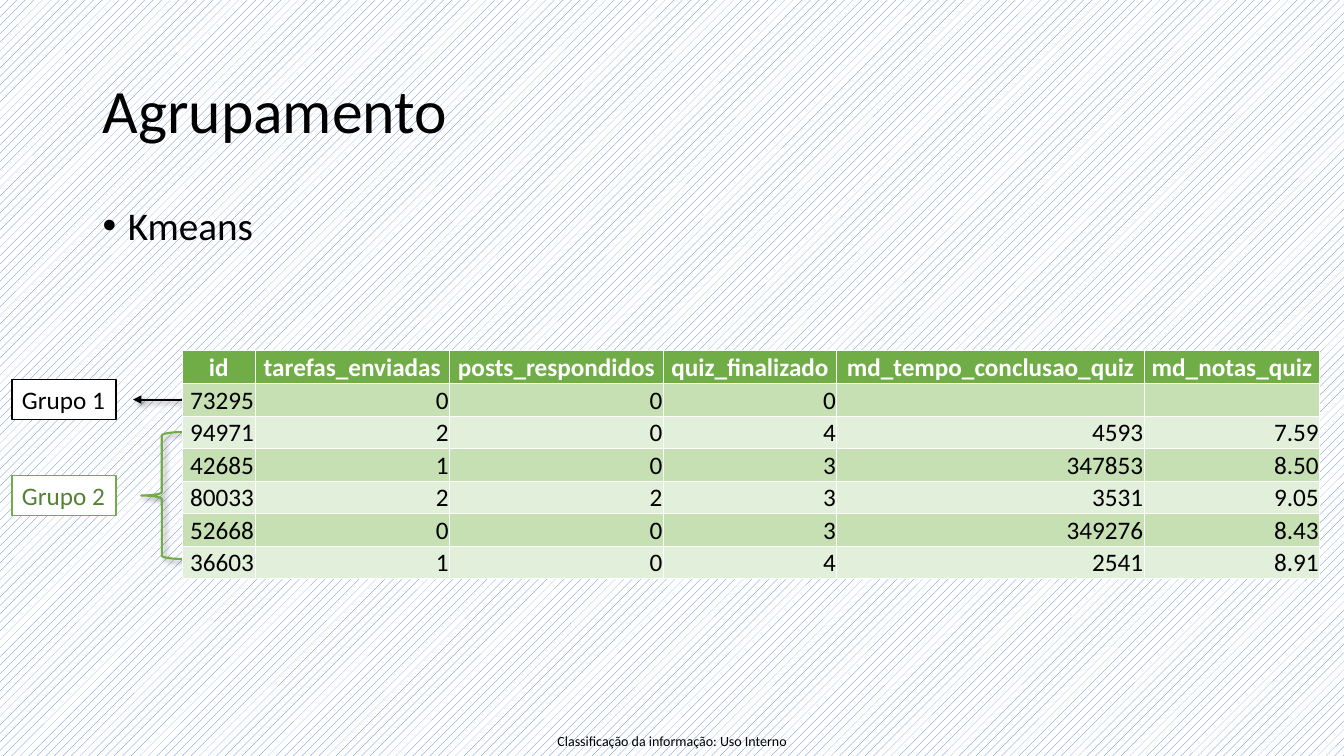
from dataclasses import dataclass
from lxml.etree import SubElement
from pptx import Presentation
from pptx.dml.color import RGBColor
from pptx.enum.dml import MSO_PATTERN
from pptx.enum.shapes import MSO_CONNECTOR, MSO_SHAPE
from pptx.enum.text import MSO_ANCHOR, PP_ALIGN
from pptx.oxml import parse_xml
from pptx.oxml.ns import nsdecls, qn
from pptx.util import Inches, Pt

TITLE = "Agrupamento"
METHOD = "Kmeans"
FOOTER = "Classificação da informação: Uso Interno"
GROUPS = ("Grupo 1", "Grupo 2")
HEADERS = ("id", "tarefas_enviadas", "posts_respondidos", "quiz_finalizado",
           "md_tempo_conclusao_quiz", "md_notas_quiz")
STUDENTS = [
    ("73295", "0", "0", "0", "", ""),
    ("94971", "2", "0", "4", "4593", "7.59"),
    ("42685", "1", "0", "3", "347853", "8.50"),
    ("80033", "2", "2", "3", "3531", "9.05"),
    ("52668", "0", "0", "3", "349276", "8.43"),
    ("36603", "1", "0", "4", "2541", "8.91"),
]


@dataclass(frozen=True)
class Theme:
    font: str = "Calibri"
    black: str = "000000"
    white: str = "FFFFFF"
    stripe: str = "4472C4"
    green: str = "70AD47"
    dark_green: str = "548235"
    bands: tuple = ("C6E0B4", "E2EFDA")
    title: int = 44
    body: int = 28
    table: int = 18
    footer: int = 10


THEME = Theme()
WIDTH, HEIGHT = 13.33, 7.5
MARGIN, CONTENT_WIDTH = 0.92, 11.5
COLUMNS = (0.72, 1.93, 2.12, 1.72, 3.05, 1.74)
TABLE_LEFT, TABLE_TOP = 1.81, 3.48
ROW = 2.26 / 7
LABEL_LEFT, LABEL_WIDTH, LABEL_HEIGHT = 0.12, 1.03, 0.4
BRACE_WIDTH, BRACE_ROWS = 0.41, 3.9
ARROW_LENGTH = 0.49


def row_middle(row):
    return TABLE_TOP + (row + 0.5) * ROW


def apply(target, values):
    for name, value in values.items():
        setattr(target, name, value)


def write(frame, text, size, color=THEME.black, bold=False, frame_format=None, para_format=None):
    """Put one formatted line in a text frame or table cell frame."""
    apply(frame, frame_format or {})
    para = frame.paragraphs[0]
    apply(para, para_format or {})
    span = para.add_run()
    span.text = text
    apply(span.font, {"name": THEME.font, "size": Pt(size), "bold": bold})
    span.font.color.rgb = RGBColor.from_string(color)
    return para


def add_text(page, place, text, size, frame_format, para_format):
    box = page.shapes.add_textbox(*map(Inches, place))
    return write(box.text_frame, text, size, frame_format={"word_wrap": True, **frame_format},
                 para_format=para_format)


def set_line(shape, color, width):
    shape.line.color.rgb = RGBColor.from_string(color)
    shape.line.width = Pt(width)


def add_shadow(shape):
    properties = shape._element.spPr
    for old in properties.findall(qn("a:effectLst")):
        properties.remove(old)
    properties.append(parse_xml(
        f'<a:effectLst {nsdecls("a")}><a:outerShdw blurRad="{Pt(4)}" dist="{Pt(3)}" dir="2700000" '
        f'algn="tl" rotWithShape="0"><a:srgbClr val="{THEME.black}"><a:alpha val="40000"/></a:srgbClr>'
        '</a:outerShdw></a:effectLst>'))


def add_bullet(para):
    properties = para._p.get_or_add_pPr()
    properties.set("marL", str(Inches(0.25)))
    properties.set("indent", str(-Inches(0.25)))
    SubElement(properties, qn("a:buFont"), typeface="Arial")
    SubElement(properties, qn("a:buChar"), char="•")


def add_label(page, text, middle, line_color, text_color):
    label = page.shapes.add_shape(MSO_SHAPE.RECTANGLE, *map(
        Inches, (LABEL_LEFT, middle - LABEL_HEIGHT / 2, LABEL_WIDTH, LABEL_HEIGHT)))
    label.shadow.inherit = False
    label.fill.solid()
    label.fill.fore_color.rgb = RGBColor.from_string(THEME.white)
    set_line(label, line_color, 1)
    write(label.text_frame, text, THEME.table, text_color,
          frame_format={"word_wrap": False, "vertical_anchor": MSO_ANCHOR.TOP},
          para_format={"alignment": PP_ALIGN.LEFT})


def add_brace(page, middle):
    height = BRACE_ROWS * ROW
    brace = page.shapes.add_shape(MSO_SHAPE.LEFT_BRACE, *map(
        Inches, (TABLE_LEFT - BRACE_WIDTH, middle - height / 2, BRACE_WIDTH, height)))
    brace.fill.background()
    set_line(brace, THEME.green, 1.5)
    add_shadow(brace)


def add_arrow(page, middle):
    arrow = page.shapes.add_connector(MSO_CONNECTOR.STRAIGHT, *map(
        Inches, (TABLE_LEFT, middle, TABLE_LEFT - ARROW_LENGTH, middle)))
    set_line(arrow, THEME.black, 1.5)
    SubElement(arrow.line._get_or_add_ln(), qn("a:tailEnd"), type="triangle")
    add_shadow(arrow)


def format_cell(cell, text, fill, color, bold, alignment):
    edge = Inches(0.01)
    apply(cell, {"margin_left": edge, "margin_right": edge, "margin_top": edge,
                 "margin_bottom": 0, "vertical_anchor": MSO_ANCHOR.BOTTOM})
    cell.fill.solid()
    cell.fill.fore_color.rgb = RGBColor.from_string(fill)
    for position, side in enumerate(("lnL", "lnR", "lnT", "lnB")):
        cell._tc.get_or_add_tcPr().insert(position, parse_xml(
            f'<a:{side} {nsdecls("a")} w="{Pt(0.5)}"><a:solidFill>'
            f'<a:srgbClr val="{THEME.white}"/></a:solidFill></a:{side}>'))
    if text:
        write(cell.text_frame, text, THEME.table, color, bold, para_format={"alignment": alignment})


def add_students(page):
    rows = [HEADERS, *STUDENTS]
    table = page.shapes.add_table(len(rows), len(COLUMNS), *map(
        Inches, (TABLE_LEFT, TABLE_TOP, sum(COLUMNS), ROW * len(rows)))).table
    for column, width in zip(table.columns, COLUMNS):
        column.width = Inches(width)
    for index, values in enumerate(rows):
        if index == 0:
            look = (THEME.green, THEME.white, True, PP_ALIGN.CENTER)
        else:
            look = (THEME.bands[(index - 1) % 2], THEME.black, False, PP_ALIGN.RIGHT)
        for column, text in enumerate(values):
            format_cell(table.cell(index, column), text, *look)


def main():
    deck = Presentation()
    apply(deck, {"slide_width": Inches(WIDTH), "slide_height": Inches(HEIGHT)})
    page = deck.slides.add_slide(deck.slide_layouts[6])
    backdrop = page.background.fill
    backdrop.patterned()
    backdrop.pattern = MSO_PATTERN.PERCENT_20
    backdrop.fore_color.rgb = RGBColor.from_string(THEME.stripe)
    backdrop.back_color.rgb = RGBColor.from_string(THEME.white)

    footer_width = 2.65
    no_margins = {f"margin_{side}": 0 for side in ("left", "right", "top", "bottom")}
    add_text(page, ((WIDTH - footer_width) / 2, 7.21, footer_width, 0.29), FOOTER, THEME.footer,
             {"vertical_anchor": MSO_ANCHOR.MIDDLE, **no_margins}, {"alignment": PP_ALIGN.CENTER})
    add_text(page, (MARGIN, 0.4, CONTENT_WIDTH, 1.45), TITLE, THEME.title,
             {"vertical_anchor": MSO_ANCHOR.MIDDLE}, {"line_spacing": 0.9})
    add_bullet(add_text(page, (MARGIN, 2, CONTENT_WIDTH, 4.76), METHOD, THEME.body,
                        {}, {"line_spacing": 0.9, "space_before": Pt(10)}))

    first_middle = row_middle(1)
    second_middle = row_middle(2) + BRACE_ROWS * ROW / 2
    add_brace(page, second_middle)
    add_label(page, GROUPS[1], second_middle, THEME.green, THEME.dark_green)
    add_label(page, GROUPS[0], first_middle, THEME.black, THEME.black)
    add_arrow(page, first_middle)
    add_students(page)
    deck.save("out.pptx")


if __name__ == "__main__":
    main()
